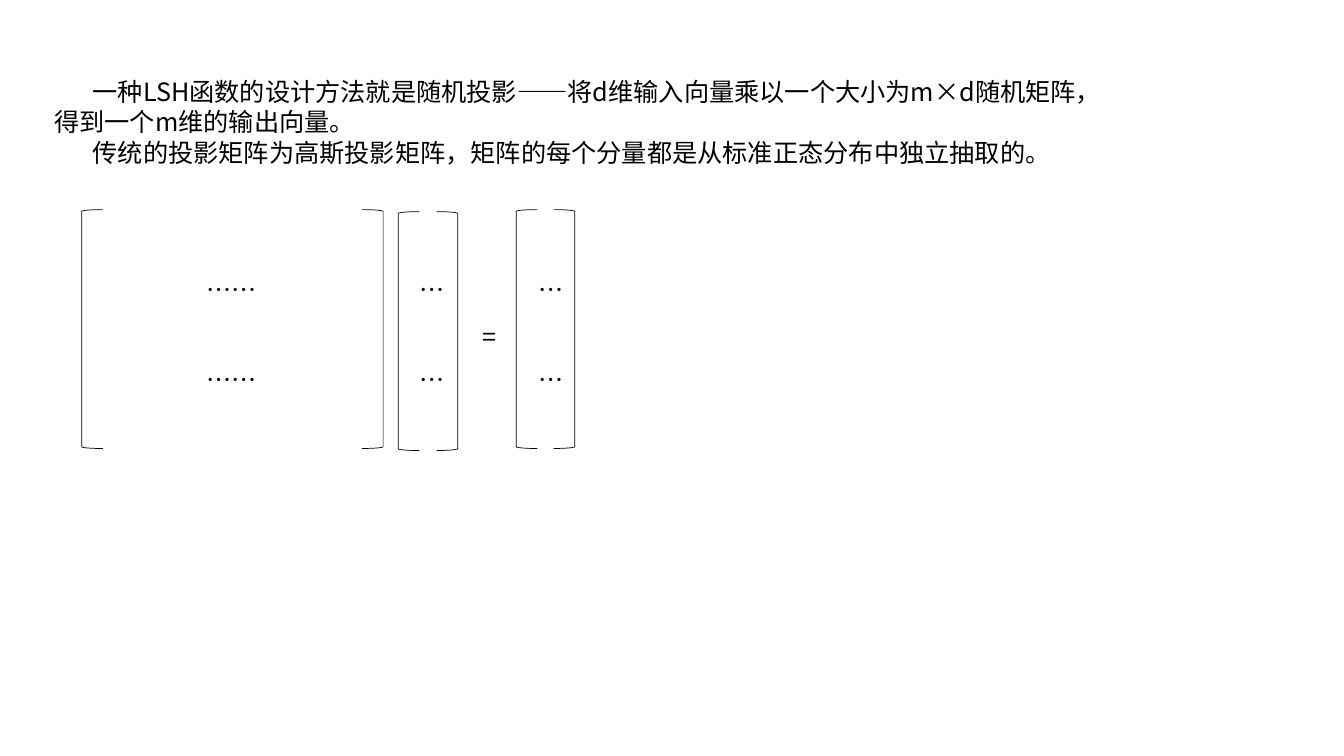
import pptx
import pptx.dml.color
import pptx.enum.shapes
import pptx.enum.text
import pptx.oxml.ns
import pptx.util
from lxml import etree

Inches = pptx.util.Inches
Pt = pptx.util.Pt
Shapes = pptx.enum.shapes.MSO_SHAPE
Align = pptx.enum.text.PP_ALIGN

COLORS = {"ink": "000000"}
FONT = "Noto Sans CJK SC"
BRACKET_WIDTH = 0.21
BRACKET_HEIGHT = 2.37
TEXT_HEIGHT = 0.4

INTRODUCTION = [
    "一种LSH函数的设计方法就是随机投影——将d维输入向量乘以一个大小为m×d随机矩阵，得到一个m维的输出向量。",
    "传统的投影矩阵为高斯投影矩阵，矩阵的每个分量都是从标准正态分布中独立抽取的。",
]
BRACKET_PAIRS = [(0.81, 3.59, 2.08), (3.95, 4.33, 2.1), (5.12, 5.49, 2.08)]
ELLIPSIS_ROWS = [(2.67, 0.41), (3.57, 0.49)]
VECTOR_LEFTS = [4.06, 5.24]


def color(name):
    return pptx.dml.color.RGBColor.from_string(COLORS[name])


def add_text(slide, lines, left, top, width, height=TEXT_HEIGHT, align=Align.LEFT, indent=0):
    box = slide.shapes.add_textbox(Inches(left), Inches(top), Inches(width), Inches(height))
    frame = box.text_frame
    frame.word_wrap = True
    for index, line in enumerate(lines):
        paragraph = frame.add_paragraph() if index else frame.paragraphs[0]
        paragraph.alignment = align
        paragraph.line_spacing = Pt(21.6)
        if indent:
            paragraph._p.get_or_add_pPr().set("indent", str(Inches(indent)))
        run = paragraph.add_run()
        run.text = line
        run.font.size = Pt(18)
        run.font.name = FONT
        run.font.color.rgb = color("ink")
        east_asian = etree.SubElement(run._r.get_or_add_rPr(), pptx.oxml.ns.qn("a:ea"))
        east_asian.set("typeface", FONT)


def add_bracket(slide, kind, left, top):
    shape = slide.shapes.add_shape(
        kind, Inches(left), Inches(top), Inches(BRACKET_WIDTH), Inches(BRACKET_HEIGHT)
    )
    shape.shadow.inherit = False
    shape.fill.background()
    shape.line.color.rgb = color("ink")
    shape.line.width = Pt(0.5)


def main():
    presentation = pptx.Presentation()
    presentation.slide_width = Inches(13.33)
    presentation.slide_height = Inches(7.5)
    slide = presentation.slides.add_slide(presentation.slide_layouts[6])

    add_text(slide, INTRODUCTION, 0.44, 0.71, 10.52, 1.01, indent=0.38)
    for top, width in ELLIPSIS_ROWS:
        add_text(slide, ["……"], 0.91, top, 2.78, align=Align.CENTER)
        for left in VECTOR_LEFTS:
            add_text(slide, ["…"], left, top, width)
    add_text(slide, ["="], 4.69, 3.14, 0.35)

    for left, right, top in BRACKET_PAIRS:
        add_bracket(slide, Shapes.LEFT_BRACKET, left, top)
        add_bracket(slide, Shapes.RIGHT_BRACKET, right, top)

    presentation.save("out.pptx")


if __name__ == "__main__":
    main()
